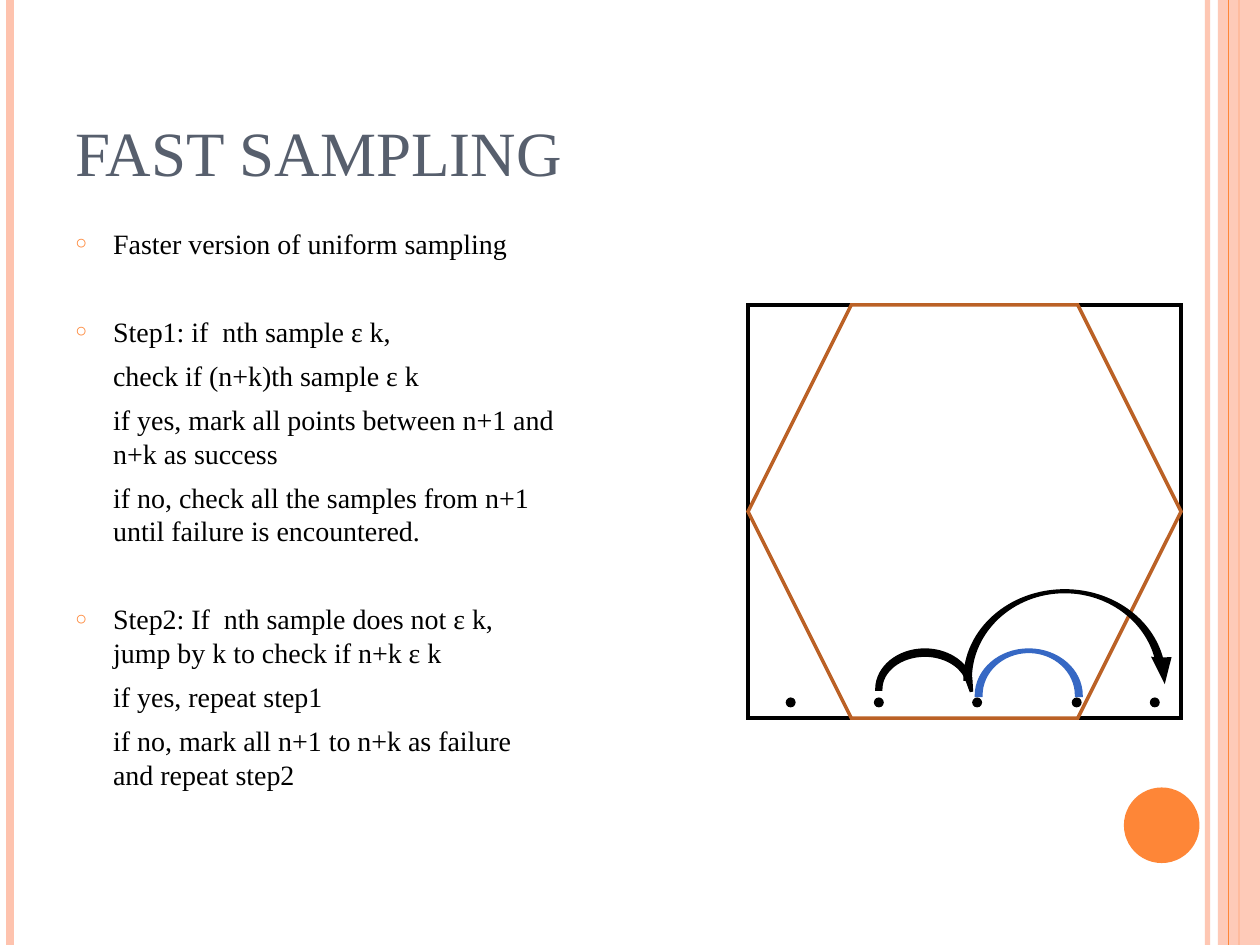
from math import cos, radians, sin, tan

from lxml.etree import SubElement
from pptx import Presentation
from pptx.dml.color import RGBColor
from pptx.enum.shapes import MSO_CONNECTOR, MSO_SHAPE
from pptx.enum.text import MSO_ANCHOR, PP_ALIGN
from pptx.oxml.ns import qn
from pptx.util import Inches, Pt

BLACK = RGBColor(0x00, 0x00, 0x00)
WHITE = RGBColor(0xFF, 0xFF, 0xFF)
SLATE = RGBColor(0x57, 0x5F, 0x6D)
ORANGE = RGBColor(0xFE, 0x86, 0x37)
PEACH = RGBColor(0xFE, 0xC3, 0xAE)
RUST = RGBColor(0xBB, 0x61, 0x26)
BLUE = RGBColor(0x36, 0x68, 0xC4)

FONT = "Times New Roman"
COLUMNS, ROWS = 100, 75
CELL = Inches(0.1)
PARAGRAPH_GAP, STEP_GAP = 6, 31


def cells(*lengths):
    """Turn grid columns or rows into slide lengths."""
    return [round(length * CELL) for length in lengths]


def write(paragraph, text, size=16, color=BLACK, before=0):
    paragraph.text = text
    paragraph.alignment = PP_ALIGN.LEFT
    paragraph.space_before = Pt(before)
    paragraph.font.name = FONT
    paragraph.font.size = Pt(size)
    paragraph.font.color.rgb = color


def indent(paragraph, bullet):
    """Indent a paragraph, with a hanging ring where it is bulleted."""
    properties = paragraph._p.get_or_add_pPr()
    properties.set("marL", str(Inches(0.3)))
    properties.set("indent", str(-Inches(0.3) if bullet else 0))
    if bullet:
        color = SubElement(properties, qn("a:buClr"))
        SubElement(color, qn("a:srgbClr"), val=str(ORANGE))
        SubElement(properties, qn("a:buSzPct"), val="70000")
        SubElement(properties, qn("a:buFont"), typeface=FONT)
        SubElement(properties, qn("a:buChar"), char="○")
    else:
        SubElement(properties, qn("a:buNone"))


def set_opacity(fill, percent):
    color = fill._xPr.find(f"{qn('a:solidFill')}/{qn('a:srgbClr')}")
    SubElement(color, qn("a:alpha"), val=str(percent * 1000))


def arc_points(center, radii, start, end):
    """Start point and two Bézier curves along an ellipse, meeting at its top."""
    def place(angle, slope=0):
        return (center[0] + radii[0] * (cos(angle) - slope * sin(angle)),
                center[1] - radii[1] * (sin(angle) + slope * cos(angle)))

    angles = [radians(angle) for angle in (start, 90, end)]
    points = [place(angles[0])]
    for first, last in zip(angles, angles[1:]):
        slope = 4 / 3 * tan((last - first) / 4)
        points += [place(first, slope), place(last, -slope), place(last)]
    return points


def bend(shape, curve_starts):
    """Join three line segments into one curve at each given index."""
    outline = next(shape._element.iter(qn("a:path")))
    segments = outline.findall(qn("a:lnTo"))
    for start in curve_starts:
        first, *others = segments[start:start + 3]
        first.tag = qn("a:cubicBezTo")
        for segment in others:
            first.append(segment[0])
            outline.remove(segment)


class SlideBuilder:
    def __init__(self, presentation):
        self.slide = presentation.slides.add_slide(presentation.slide_layouts[5])
        self.shapes = self.slide.shapes

    def title(self, text, box):
        title = self.shapes.title
        title.left, title.top, title.width, title.height = cells(*box)
        title.text_frame.vertical_anchor = MSO_ANCHOR.BOTTOM
        write(title.text_frame.paragraphs[0], text, size=36, color=SLATE)

    def body(self, steps, box):
        frame = self.shapes.add_textbox(*cells(*box)).text_frame
        frame.word_wrap = True
        paragraph = frame.paragraphs[0]
        for step_number, step in enumerate(steps):
            for line_number, text in enumerate(step):
                bullet = line_number == 0
                before = STEP_GAP if bullet else PARAGRAPH_GAP
                if bullet and step_number == 0:
                    before = 0
                else:
                    paragraph = frame.add_paragraph()
                write(paragraph, text, before=before)
                indent(paragraph, bullet)

    def style(self, shape, fill=None, line=None):
        shape.shadow.inherit = False
        if fill is None:
            shape.fill.background()
        else:
            shape.fill.solid()
            shape.fill.fore_color.rgb = fill
        if line is None:
            shape.line.fill.background()
        else:
            shape.line.color.rgb = line
            shape.line.width = Pt(2)
            SubElement(shape.line.fill._xPr, qn("a:miter"), lim="800000")
        return shape

    def shape(self, kind, box, **colors):
        return self.style(self.shapes.add_shape(kind, *cells(*box)), **colors)

    def stripe(self, column, width, color, opacity=100):
        x, bottom = cells(column, ROWS)
        stripe = self.shapes.add_connector(MSO_CONNECTOR.STRAIGHT, x, 0, x, bottom)
        stripe.line.color.rgb = color
        stripe.line.width = Pt(width)
        if opacity < 100:
            set_opacity(stripe.line.fill, opacity)
        SubElement(stripe._element.spPr, qn("a:effectLst"))

    def jump(self, center, outer, inner, color, end=(0, 0), tip=()):
        """A tapered arc, optionally ending in a pointed tip."""
        outline = [*arc_points(center, outer, 180, end[0]), *tip,
                   *arc_points(center, inner, end[1], 180)]
        points = [cells(*point) for point in outline]
        builder = self.shapes.build_freeform(*points[0])
        builder.add_line_segments(points[1:], close=True)
        shape = builder.convert_to_shape()
        inner_start = 7 + len(tip)
        bend(shape, (0, 3, inner_start, inner_start + 3))
        self.style(shape, fill=color, line=color)


def main():
    presentation = Presentation()
    presentation.slide_width, presentation.slide_height = cells(COLUMNS, ROWS)
    builder = SlideBuilder(presentation)

    # Side stripes and page disc
    builder.stripe(95.83, 3, PEACH, opacity=93)
    builder.stripe(0.83, 4.5, PEACH)
    builder.stripe(98.33, 1.5, ORANGE)
    band = builder.shape(MSO_SHAPE.RECTANGLE, (96.67, 0, 3.33, ROWS), fill=PEACH)
    set_opacity(band.fill, 87)
    builder.stripe(97.5, 0.75, ORANGE)
    builder.shape(MSO_SHAPE.OVAL, (89.2, 62.5, 6, 6), fill=ORANGE)

    # Title and steps
    builder.title("FAST SAMPLING", (5, 3, 81.7, 12.5))
    builder.body([
        ["Faster version of uniform sampling"],
        ["Step1: if  nth sample ε k,",
         "check if (n+k)th sample ε k",
         "if yes, mark all points between n+1 and n+k as success",
         "if no, check all the samples from n+1 until failure is encountered."],
        ["Step2: If  nth sample does not ε k, jump by k to check if n+k ε k",
         "if yes, repeat step1",
         "if no, mark all n+1 to n+k as failure and repeat step2"],
    ], (5, 17.5, 40, 50))

    # Sampled region with its bounding square
    region = (59.37, 24.2, 34.37, 32.8)
    builder.shape(MSO_SHAPE.RECTANGLE, region, line=BLACK)
    builder.shape(MSO_SHAPE.HEXAGON, region, fill=WHITE, line=RUST)

    # Sample points
    for column in (62.5, 69.5, 77.3, 85.2, 91.4):
        builder.shape(MSO_SHAPE.OVAL, (column, 55.5, 0.5, 0.5), fill=BLACK, line=BLACK)

    # Jumps between samples
    builder.jump((73.4, 54.7), (3.8, 3.1), (3.5, 2.7), BLACK,
                 end=(17, 20), tip=[(77.1, 54.9)])
    builder.jump((84.5, 53.9), (7.9, 7), (7.5, 6.95), BLACK,
                 end=(13, 13), tip=[(92.8, 52.3), (92.4, 53.9), (91.6, 52.3)])
    builder.jump((81.65, 55.2), (4.15, 3.6), (3.8, 3.5), BLUE)

    presentation.save("out.pptx")


if __name__ == "__main__":
    main()
